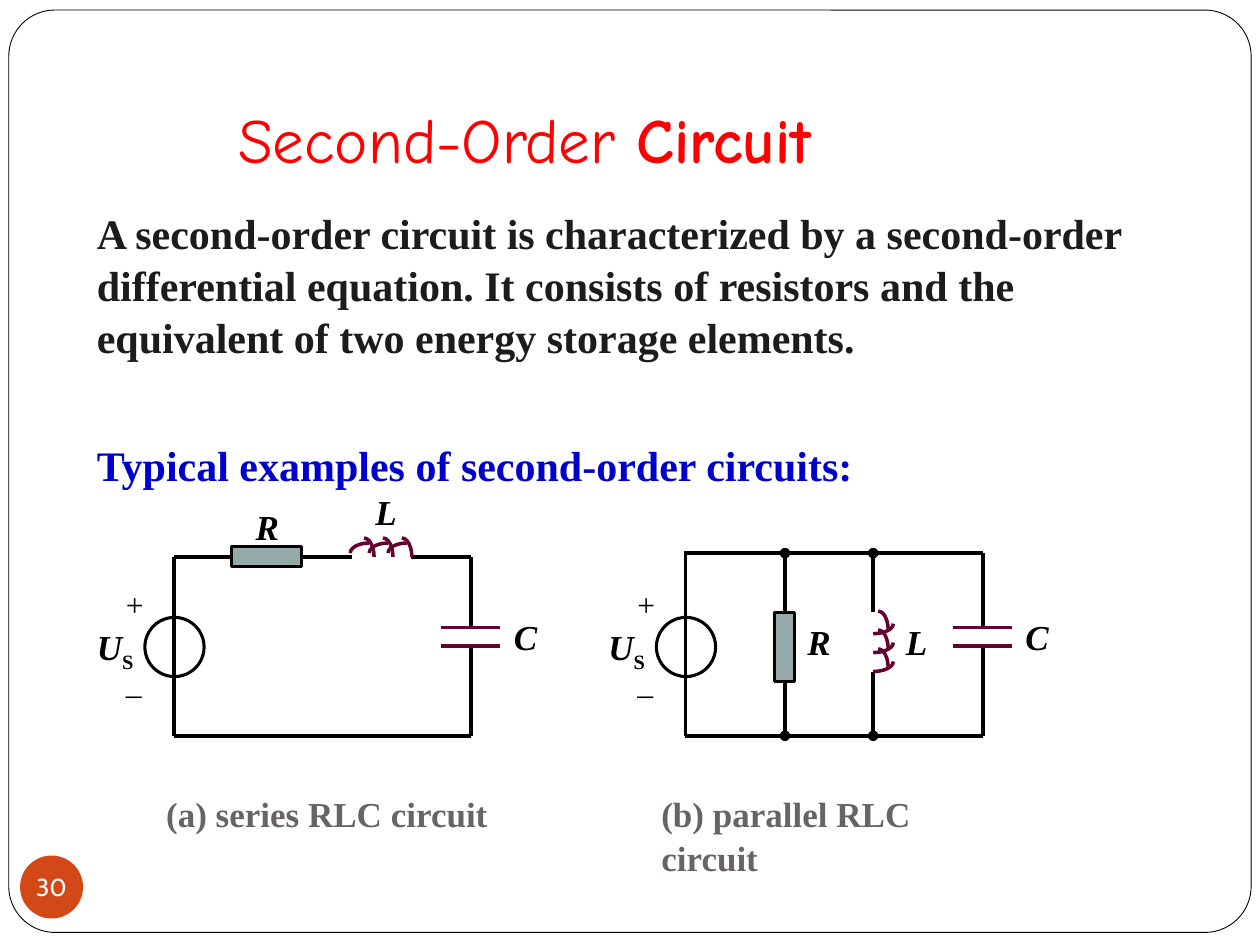
from lxml import etree
from pptx import Presentation
from pptx.dml.color import RGBColor
from pptx.enum.shapes import MSO_CONNECTOR, MSO_SHAPE
from pptx.enum.text import MSO_ANCHOR, PP_ALIGN
from pptx.oxml.ns import qn
from pptx.util import Pt

PX = 9144  # EMU per px, 100 px to the inch
STRAIGHT = MSO_CONNECTOR.STRAIGHT
ARC, OVAL = MSO_SHAPE.ARC, MSO_SHAPE.OVAL
RECT, ROUND_RECT = MSO_SHAPE.RECTANGLE, MSO_SHAPE.ROUNDED_RECTANGLE
LEFT, CENTER = PP_ALIGN.LEFT, PP_ALIGN.CENTER
MIDDLE = MSO_ANCHOR.MIDDLE
SERIF, TITLE_FONT, NUMBER_FONT = "Times New Roman", "Comic Neue", "Cabin"
BLACK, WHITE, RED, BLUE = "000000", "FFFFFF", "FF0000", "0000CC"
INK, GREY, PLUM, STEEL, ORANGE = "1C1C1C", "696464", "660033", "96A9A9", "D34817"


def px(n):
    return round(n * PX)


def rgb(color):
    return RGBColor.from_string(color)


class Sketch:
    def __init__(self, slide):
        self.s = slide

    def shape(self, kind, x, y, w, h, fill=None, line=None, weight=1.75):
        sp = self.s.shapes.add_shape(kind, px(x), px(y), px(w), px(h))
        sp.shadow.inherit = False
        if fill:
            sp.fill.solid()
            sp.fill.fore_color.rgb = rgb(fill)
        else:
            sp.fill.background()
        if line:
            sp.line.color.rgb = rgb(line)
            sp.line.width = Pt(weight)
        else:
            sp.line.fill.background()
        return sp

    def wire(self, x1, y1, x2, y2, color=BLACK, weight=2, dots=()):
        """Straight line; dots names the ends (headEnd, tailEnd) with a node."""
        c = self.s.shapes.add_connector(STRAIGHT, px(x1), px(y1), px(x2), px(y2))
        c.line.color.rgb = rgb(color)
        c.line.width = Pt(weight)
        ln = c.line._get_or_add_ln()
        for end in dots:
            etree.SubElement(ln, qn(f"a:{end}"), type="oval")
        etree.SubElement(c._element.spPr, qn("a:effectLst"))

    def arc(self, cx, cy, rx, ry, start):
        """Quarter ellipse, clockwise from the start angle in degrees."""
        sp = self.shape(ARC, cx - rx, cy - ry, 2 * rx, 2 * ry, line=PLUM, weight=2)
        for i, angle in enumerate((start, (start + 90) % 360)):
            sp.adjustments[i] = angle * 0.6

    def run(self, p, text, size, color, font=SERIF, bold=False, italic=False, sub=False):
        r = p.add_run()
        r.text = text
        r.font.size = Pt(size)
        r.font.name = font
        r.font.bold = bold
        r.font.italic = italic
        r.font.color.rgb = rgb(color)
        if sub:
            r._r.get_or_add_rPr().set("baseline", "-25000")

    def textbox(self, x, y, w, h, wrap=True, align=LEFT, spacing=1.04):
        """Empty text box; returns its first paragraph."""
        tf = self.s.shapes.add_textbox(px(x), px(y), px(w), px(h)).text_frame
        tf.word_wrap = wrap
        p = tf.paragraphs[0]
        p.alignment = align
        p.line_spacing = spacing
        return p

    def text(self, x, y, w, h, text, size, color, bold=True, italic=False, wrap=True):
        p = self.textbox(x, y, w, h, wrap)
        self.run(p, text, size, color, bold=bold, italic=italic)

    def symbol(self, x, y, letter):
        self.text(x, y, 55, 43, letter, 20, BLACK, italic=True)

    def source_loop(self, dx, top):
        """Voltage source, capacitor and the wires both circuits share."""
        left, right, bottom = dx + 138, dx + 374, 584
        self.wire(left, top, left, bottom)
        self.wire(left, bottom, right, bottom)
        for y, end in ((498, top), (513, bottom)):
            self.wire(right, y, right, end)
            self.wire(dx + 350, y, dx + 397, y, PLUM, 2.25)
        self.symbol(dx + 398, 482, "C")
        self.shape(OVAL, dx + 115, 490, 47, 47, line=BLACK)
        p = self.textbox(dx + 67, 490, 50, 43, wrap=False)
        self.run(p, "U", 20, BLACK, bold=True, italic=True)
        self.run(p, "S", 20, BLACK, bold=True, sub=True)
        for y, sign in ((458, "+"), (520, "_")):
            self.text(dx + 90, y, 34, 40, sign, 18, BLACK, bold=False)

    def series_circuit(self):
        top = 442
        self.source_loop(0, top)
        self.wire(138, top, 279, top)
        self.wire(326, top, 374, top)
        for x in range(289, 334, 15)[:3]:
            self.arc(x + 4, 439, 15, 8, 180)
            self.arc(x, top, 8, 15, 270)
        self.shape(RECT, 184, 434, 55, 16, STEEL, BLACK)
        self.symbol(193, 395, "R")
        self.symbol(288, 383, "L")

    def parallel_circuit(self):
        top, bottom, resistor, coil = 439, 584, 623, 693
        self.source_loop(406, top)
        self.wire(543, top, 780, top)
        self.wire(resistor, top, resistor, bottom, dots=("headEnd", "tailEnd"))
        self.wire(coil, top, coil, 486, dots=("headEnd",))
        self.wire(coil, 533, coil, bottom, dots=("tailEnd",))
        for y in (495, 510, 525):
            self.arc(coil + 4, y + 5, 8, 15, 270)
            self.arc(coil, y, 16, 8, 0)
        self.shape(RECT, resistor - 8, 486, 16, 55, STEEL, BLACK)
        self.symbol(631, 486, "R")
        self.symbol(709, 486, "L")

    def page_number(self, number):
        sp = self.shape(OVAL, 16, 679, 50, 50, ORANGE)
        tf = sp.text_frame
        tf.margin_left = tf.margin_right = tf.margin_top = tf.margin_bottom = 0
        tf.word_wrap = False
        tf.vertical_anchor = MIDDLE
        p = tf.paragraphs[0]
        p.alignment = CENTER
        self.run(p, number, 14, WHITE, NUMBER_FONT)


def main():
    prs = Presentation()
    prs.slide_width, prs.slide_height = px(1000), px(750)
    sk = Sketch(prs.slides.add_slide(prs.slide_layouts[6]))

    frame = sk.shape(ROUND_RECT, 7, 8, 986, 732, WHITE, BLACK, 0.5)
    frame.adjustments[0] = 0.05

    p = sk.textbox(100, 75, 633, 70, align=CENTER, spacing=1)
    sk.run(p, "Second-Order ", 36, RED, TITLE_FONT)
    sk.run(p, "Circuit", 36, RED, TITLE_FONT, bold=True)
    sk.text(67, 158, 858, 130,
            "A second-order circuit is characterized by a second-order differential "
            "equation. It consists of resistors and the equivalent of two energy "
            "storage elements.", 24, INK)
    sk.text(67, 342, 817, 50, "Typical examples of second-order circuits:", 24, BLUE)

    sk.series_circuit()
    sk.parallel_circuit()
    sk.text(122, 623, 275, 43, "(a) series RLC circuit", 20, GREY, wrap=False)
    sk.text(515, 623, 301, 43, "(b) parallel RLC circuit", 20, GREY, wrap=False)
    sk.page_number("30")
    prs.save("out.pptx")


if __name__ == "__main__":
    main()
